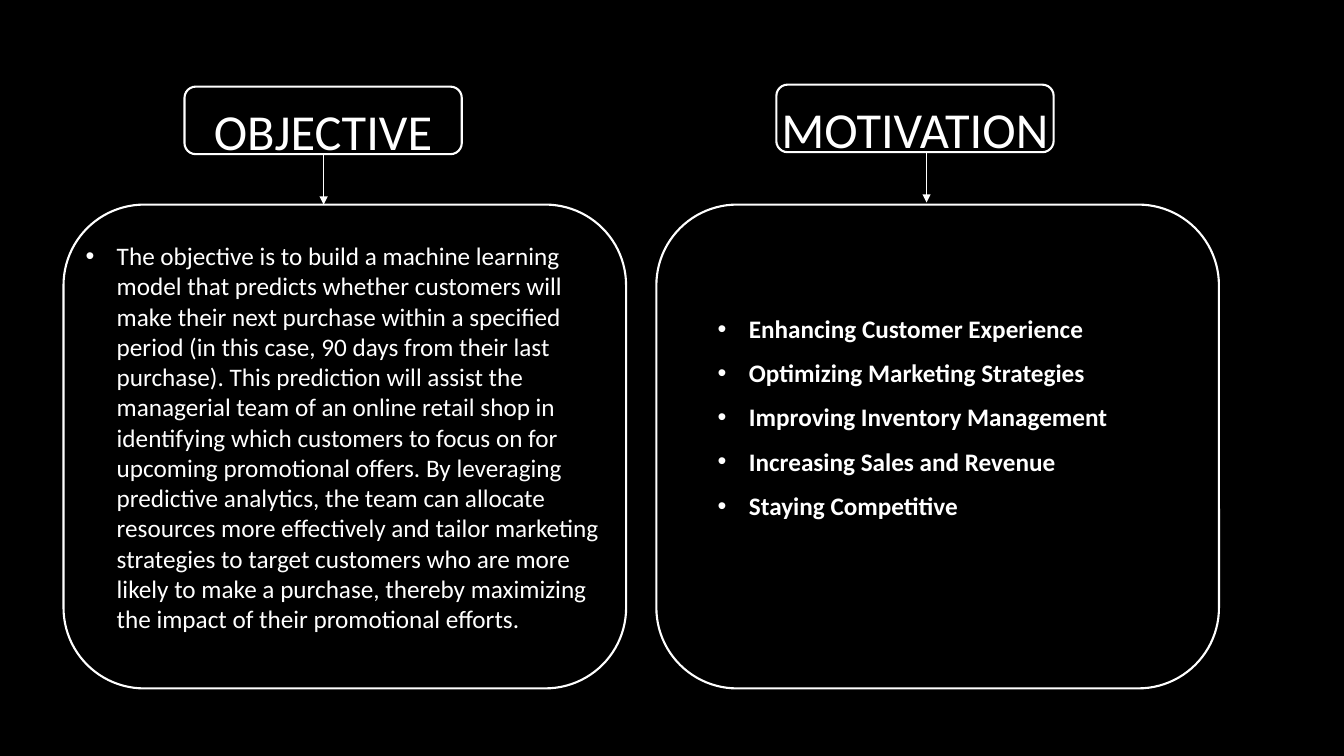
from dataclasses import dataclass

import pptx
import pptx.dml.color
import pptx.enum.shapes
import pptx.enum.text
import pptx.oxml.ns
import pptx.util
from lxml import etree
from pptx.util import Inches


@dataclass(frozen=True)
class Theme:
    background: pptx.dml.color.RGBColor = pptx.dml.color.RGBColor(0, 0, 0)
    foreground: pptx.dml.color.RGBColor = pptx.dml.color.RGBColor(255, 255, 255)
    font: str = "Calibri"
    heading: pptx.util.Length = pptx.util.Pt(36)
    body: pptx.util.Length = pptx.util.Pt(18)
    body_leading: pptx.util.Length = pptx.util.Pt(21.6)
    body_gap: pptx.util.Length = pptx.util.Pt(10)
    outline: pptx.util.Length = pptx.util.Pt(1.5)
    arrow: pptx.util.Length = pptx.util.Pt(0.75)


THEME = Theme()

OBJECTIVE = (
    "The objective is to build a machine learning model that predicts whether "
    "customers will make their next purchase within a specified period (in this "
    "case, 90 days from their last purchase). This prediction will assist the "
    "managerial team of an online retail shop in identifying which customers to "
    "focus on for upcoming promotional offers. By leveraging predictive analytics, "
    "the team can allocate resources more effectively and tailor marketing "
    "strategies to target customers who are more likely to make a purchase, "
    "thereby maximizing the impact of their promotional efforts."
)
MOTIVATIONS = [
    "Enhancing Customer Experience",
    "Optimizing Marketing Strategies",
    "Improving Inventory Management",
    "Increasing Sales and Revenue",
    "Staying Competitive",
]


def format_text(paragraph, size, bold=False):
    for run in paragraph.runs:
        run.font.name = THEME.font
        run.font.size = size
        run.font.bold = bold
        run.font.color.rgb = THEME.foreground


def add_outline_box(slide, left, top, width, height):
    shape = slide.shapes.add_shape(
        pptx.enum.shapes.MSO_SHAPE.ROUNDED_RECTANGLE,
        Inches(left), Inches(top), Inches(width), Inches(height),
    )
    shape.shadow.inherit = False
    shape.fill.background()
    shape.line.color.rgb = THEME.foreground
    shape.line.width = THEME.outline
    return shape


def add_heading(slide, text, left, top):
    shape = add_outline_box(slide, left, top, 2.75, 0.67)
    frame = shape.text_frame
    frame.word_wrap = False
    frame.vertical_anchor = pptx.enum.text.MSO_ANCHOR.TOP
    frame.margin_left = frame.margin_right = frame.margin_bottom = 0
    frame.margin_top = Inches(0.1)
    frame.text = text
    paragraph = frame.paragraphs[0]
    paragraph.alignment = pptx.enum.text.PP_ALIGN.CENTER
    format_text(paragraph, THEME.heading)


def add_bullet(paragraph):
    properties = paragraph._p.get_or_add_pPr()
    properties.set("marL", str(Inches(0.31)))
    properties.set("indent", str(Inches(-0.31)))
    font = etree.SubElement(properties, pptx.oxml.ns.qn("a:buFont"))
    font.set("typeface", "Arial")
    bullet = etree.SubElement(properties, pptx.oxml.ns.qn("a:buChar"))
    bullet.set("char", "•")


def add_bullet_list(slide, items, left, top, bold=False):
    box = slide.shapes.add_textbox(
        Inches(left), Inches(top), Inches(5.46), Inches(3.99)
    )
    frame = box.text_frame
    frame.word_wrap = True
    frame.vertical_anchor = pptx.enum.text.MSO_ANCHOR.MIDDLE
    frame.text = "\n".join(items)
    for paragraph in frame.paragraphs:
        paragraph.line_spacing = THEME.body_leading
        paragraph.space_after = THEME.body_gap
        add_bullet(paragraph)
        format_text(paragraph, THEME.body, bold)


def add_down_arrow(slide, x, top):
    connector = slide.shapes.add_connector(
        pptx.enum.shapes.MSO_CONNECTOR.STRAIGHT,
        Inches(x), Inches(top), Inches(x), Inches(top + 0.5),
    )
    connector.line.color.rgb = THEME.foreground
    connector.line.width = THEME.arrow
    head = etree.SubElement(
        connector.line._get_or_add_ln(), pptx.oxml.ns.qn("a:tailEnd")
    )
    head.set("type", "triangle")
    etree.SubElement(connector._element.spPr, pptx.oxml.ns.qn("a:effectLst"))


def main():
    presentation = pptx.Presentation()
    presentation.slide_width = Inches(13.33)
    presentation.slide_height = Inches(7.5)
    slide = presentation.slides.add_slide(presentation.slide_layouts[6])
    slide.background.fill.solid()
    slide.background.fill.fore_color.rgb = THEME.background

    for panel_left in (0.63, 6.51):
        add_outline_box(slide, panel_left, 2.03, 5.58, 4.8)

    add_heading(slide, "OBJECTIVE", 1.83, 0.86)
    add_down_arrow(slide, 3.21, 1.53)
    add_bullet_list(slide, [OBJECTIVE], 0.75, 2.34)

    add_heading(slide, "MOTIVATION", 7.7, 0.84)
    add_down_arrow(slide, 9.19, 1.51)
    add_bullet_list(slide, MOTIVATIONS, 7.02, 2.14, bold=True)

    presentation.save("out.pptx")


if __name__ == "__main__":
    main()
